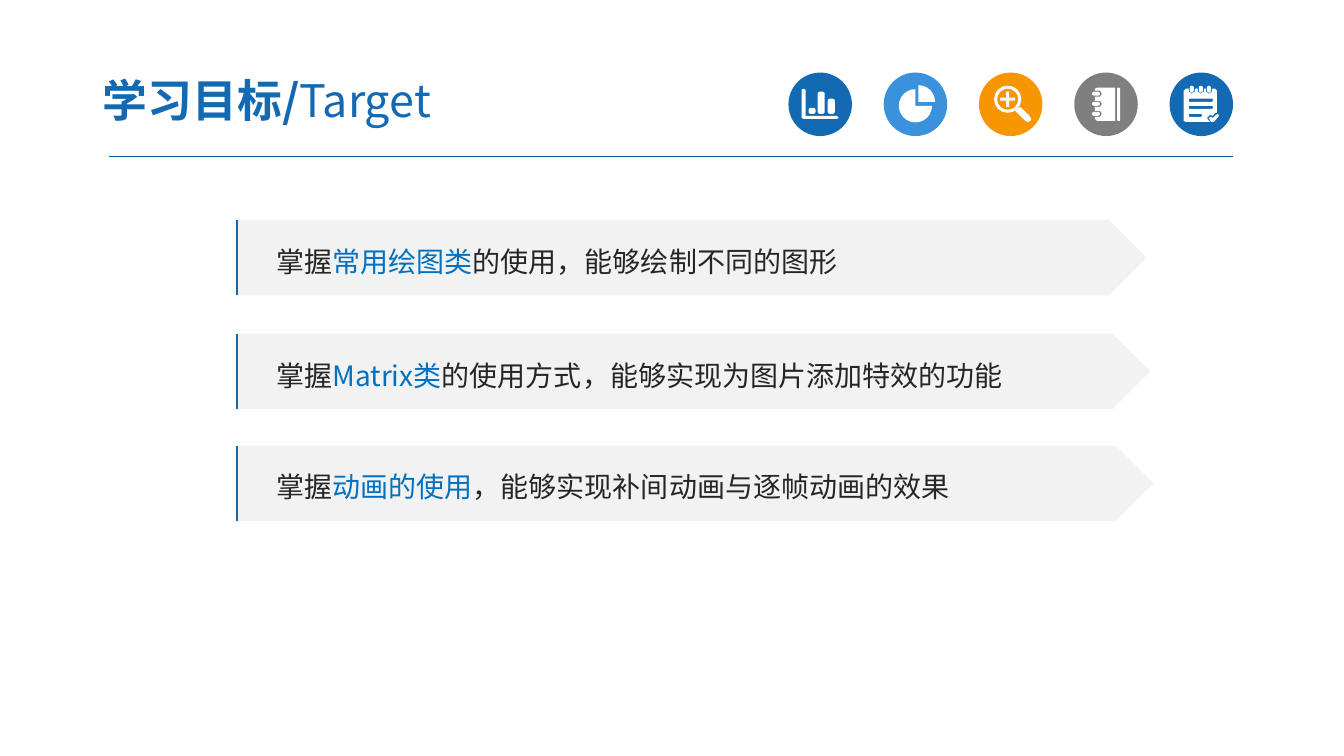
from math import cos, radians, sin
from lxml import etree
from pptx import Presentation
from pptx import util as u
from pptx.dml.color import RGBColor
from pptx.enum import shapes, text
from pptx.oxml import ns

Inches, Pt = u.Inches, u.Pt
FONT = "Noto Sans CJK SC"
COLORS = {"blue": "1369B2", "sky": "3992DB", "orange": "F79600", "gray": "7F7F7F",
          "white": "FFFFFF", "rule": "005B9E", "panel": "F2F2F2",
          "ink": "262626", "accent": "0070C0"}

presentation = Presentation()
presentation.slide_width, presentation.slide_height = Inches(13.33), Inches(7.5)
slide = presentation.slides.add_slide(presentation.slide_layouts[6])


def rounded(left, top, width, height, radius):
    """Outline points of a rectangle with rounded corners."""
    right, bottom = left + width - radius, top + height - radius
    left, top = left + radius, top + radius
    steps = 4 if radius > 0.1 else 2
    return [(x + radius * cos(radians(start + 90 * step / steps)),
             y + radius * sin(radians(start + 90 * step / steps)))
            for x, y, start in ((right, bottom, 0), (left, bottom, 90),
                                (left, top, 180), (right, top, 270))
            for step in range(steps + 1)]


def paint(shape, color):
    shape.shadow.inherit = False
    shape.fill.solid()
    shape.fill.fore_color.rgb = RGBColor.from_string(COLORS[color])
    shape.line.fill.background()


# Header rule
rule = slide.shapes.add_connector(shapes.MSO_CONNECTOR.STRAIGHT, Inches(1.08), Inches(1.55),
                                  Inches(12.23), Inches(1.55))
rule.line.color.rgb = RGBColor.from_string(COLORS["rule"])
rule.line.width = Pt(0.75)
etree.SubElement(rule._element.spPr, ns.qn("a:effectLst"))

# Icon outlines
chart_icon = [
    [(7.95, 0.89), (7.97, 0.88), (7.99, 0.89), (7.99, 1.15), (8.3, 1.15),
     (8.32, 1.17), (8.3, 1.18), (7.97, 1.18), (7.95, 1.17)],
    rounded(8.02, 1.07, 0.07, 0.06, 0.02),
    rounded(8.11, 0.91, 0.07, 0.22, 0.02),
    rounded(8.21, 0.98, 0.07, 0.15, 0.02),
]
pie_icon = [
    [(x, y)] + [(x + 0.165 * cos(radians(angle)), y + 0.165 * sin(radians(angle)))
                for angle in range(start, end + 1, 15)]
    for x, y, start, end in ((9.11, 1.01, -90, 0), (9.08, 1.05, 0, 270))
]
search_icon = [
    rounded(9.86, 0.85, 0.27, 0.27, 0.135),
    rounded(9.89, 0.88, 0.21, 0.21, 0.105),
    [(10.07, 1.1), (10.17, 1.2), (10.19, 1.21), (10.22, 1.2), (10.23, 1.18),
     (10.21, 1.15), (10.12, 1.06)],
    [(9.98, 0.91), (10.01, 0.91), (10.01, 0.97), (10.07, 0.97), (10.07, 1), (10.01, 1),
     (10.01, 1.06), (9.98, 1.06), (9.98, 1), (9.92, 1), (9.92, 0.97), (9.98, 0.97)],
]
cover = [(10.86, 0.88), (10.88, 0.87), (11.06, 0.87), (11.06, 1.2), (10.88, 1.2), (10.86, 1.18)]
notebook_icon = [cover, rounded(11.08, 0.87, 0.03, 0.33, 0.01)]
for middle in (1.13, 1.03, 0.93):
    cover += [(10.86, middle + 0.03), (10.91, middle + 0.03), (10.93, middle),
              (10.91, middle - 0.03), (10.86, middle - 0.03)]
    notebook_icon.append(rounded(10.83, middle - 0.02, 0.08, 0.04, 0.02))
page = [(12.05, 0.88), (12.07, 0.9), (12.07, 1.12), (12.05, 1.12), (12.03, 1.15), (12, 1.14),
        (11.97, 1.17), (12, 1.21), (11.76, 1.21), (11.74, 1.2), (11.74, 0.9), (11.76, 0.88)]
checklist_icon = [
    page,
    [(12.09, 1.15), (12.04, 1.21), (12.01, 1.21), (11.99, 1.17), (12.01, 1.16),
     (12.03, 1.17), (12.06, 1.14), (12.08, 1.13)],
]
for middle in (11.82, 11.91, 11.99):
    page += [(middle - 0.03, 0.88), (middle - 0.03, 0.91), (middle, 0.93),
             (middle + 0.03, 0.91), (middle + 0.03, 0.88)]
    checklist_icon.append(rounded(middle - 0.02, 0.85, 0.04, 0.07, 0.02))
for top, width in ((0.98, 0.24), (1.05, 0.24), (1.13, 0.13)):
    checklist_icon.append(rounded(11.79, top, width, 0.03, 0.01))

# Header icons
icons = [("blue", chart_icon), ("sky", pie_icon), ("orange", search_icon),
         ("gray", notebook_icon), ("blue", checklist_icon)]
for index, (color, outlines) in enumerate(icons):
    disc = slide.shapes.add_shape(shapes.MSO_SHAPE.OVAL, Inches(7.82 + index * 0.945),
                                  Inches(0.72), Inches(0.63), Inches(0.63))
    paint(disc, color)
    builder = slide.shapes.build_freeform()
    for outline in outlines:
        points = [(Inches(x), Inches(y)) for x, y in outline]
        if outline is outlines[0]:
            builder = slide.shapes.build_freeform(*points[0])
        else:
            builder.move_to(*points[0])
        builder.add_line_segments(points[1:], close=True)
    paint(builder.convert_to_shape(), "white")

# Title
title = slide.shapes.add_textbox(Inches(0.89), Inches(0.63), Inches(5.22), Inches(0.72))
frame = title.text_frame
frame.margin_left = frame.margin_right = Inches(0.13)
frame.margin_top = frame.margin_bottom = Inches(0.07)
wording = [(frame, 32, [("学习目标/", "blue", True), ("Target", "blue", False)])]

# Goal panels with a blue left edge
goals = [
    (2.18, 9.03, "常用绘图类", "的使用，能够绘制不同的图形"),
    (3.31, 9.07, "Matrix类", "的使用方式，能够实现为图片添加特效的功能"),
    (4.42, 9.1, "动画的使用", "，能够实现补间动画与逐帧动画的效果"),
]
for top, width, topic, ending in goals:
    panel = slide.shapes.add_shape(shapes.MSO_SHAPE.PENTAGON, Inches(2.34), Inches(top),
                                   Inches(width), Inches(0.75))
    paint(panel, "panel")
    frame = panel.text_frame
    frame.margin_left = Inches(0.4)
    frame.paragraphs[0].alignment = text.PP_ALIGN.LEFT
    frame.paragraphs[0].line_spacing = 1.2
    wording.append((frame, 20, [("掌握", "ink", False), (topic, "accent", False),
                                (ending, "ink", False)]))
    builder = slide.shapes.build_freeform(Inches(2.35), Inches(top + 0.75))
    builder.add_line_segments([(Inches(2.35), Inches(top))], close=False)
    builder.move_to(Inches(2.49), Inches(top))
    edge = builder.convert_to_shape()
    edge.shadow.inherit = False
    edge.fill.background()
    edge.line.color.rgb = RGBColor.from_string(COLORS["blue"])
    edge.line.width = Pt(1.5)

# Text runs
for frame, size, runs in wording:
    frame.word_wrap = True
    frame.vertical_anchor = text.MSO_ANCHOR.MIDDLE
    for words, color, bold in runs:
        run = frame.paragraphs[0].add_run()
        run.text = words
        run.font.size, run.font.bold, run.font.name = Pt(size), bold, FONT
        run.font.color.rgb = RGBColor.from_string(COLORS[color])
        latin = run.font._element.find(ns.qn("a:latin"))
        latin.addnext(etree.Element(ns.qn("a:ea"), typeface=FONT))

presentation.save("out.pptx")
